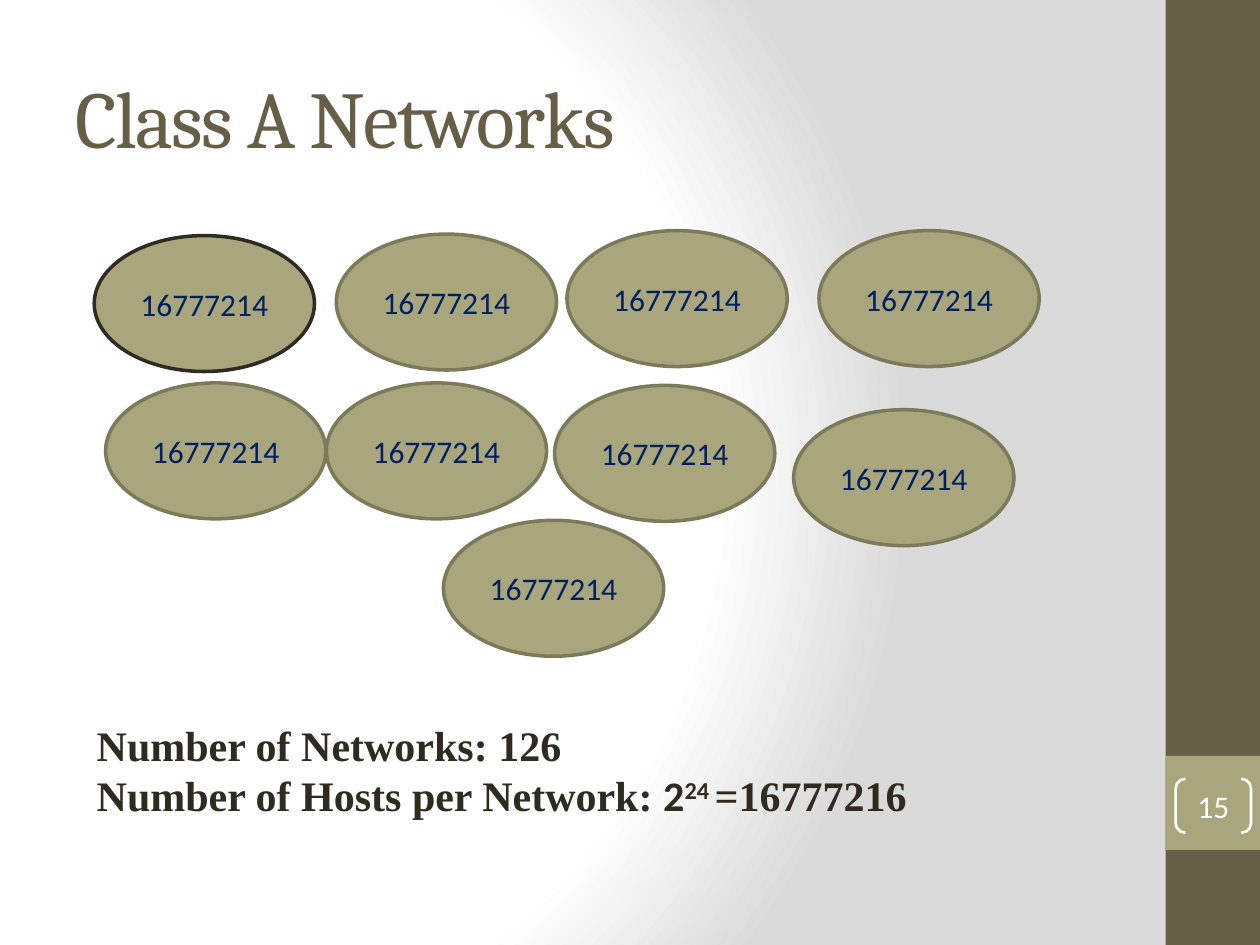
from pptx import Presentation
from pptx import oxml
from pptx import util as u
from pptx.dml.color import RGBColor
from pptx.enum import shapes, text
from pptx.oxml import ns

BROWN = RGBColor(0x67, 0x5E, 0x47)
OLIVE = RGBColor(0xA9, 0xA5, 0x7C)
OLIVE_EDGE = RGBColor(0x7D, 0x7A, 0x5C)
DARK = RGBColor(0x2F, 0x2B, 0x20)
NAVY = RGBColor(0x00, 0x20, 0x60)
WHITE = RGBColor(0xFF, 0xFF, 0xFF)

HEADING_FONT, BODY_FONT, SERIF_FONT = "Cambria", "Calibri", "Times New Roman"
HOSTS = "16777214"
ELLIPSE_WIDTH, ELLIPSE_HEIGHT = 4.44, 2.74
# Offsets in cm within the network area, from back to front
NETWORK_OFFSETS = [
    (0, 0.1), (4.88, 0.07), (0.23, 3.07), (4.68, 3.07), (7.04, 5.84),
    (9.53, 0), (14.1, 3.61), (14.61, 0), (9.28, 3.12),
]

BACKGROUND = f"""
<p:bg {ns.nsdecls('p', 'a')}><p:bgPr><a:gradFill rotWithShape="1"><a:gsLst>
<a:gs pos="0"><a:srgbClr val="FFFFFF"/></a:gs>
<a:gs pos="75000"><a:srgbClr val="FFFFFF"/></a:gs>
<a:gs pos="100000"><a:srgbClr val="DADADA"/></a:gs></a:gsLst>
<a:path path="circle"><a:fillToRect l="20000" t="50000" r="100000" b="50000"/></a:path>
</a:gradFill><a:effectLst/></p:bgPr></p:bg>"""


def add_text(paragraph, content, font=BODY_FONT, size=18, color=DARK,
             bold=False, align=None, spacing=None, baseline=None):
    """Append a formatted run to a paragraph."""
    if align is not None:
        paragraph.alignment = align
    run = paragraph.add_run()
    run.text = content
    run.font.name = font
    run.font.size = u.Pt(size)
    run.font.bold = bold
    run.font.color.rgb = color
    properties = run.font._element
    if spacing is not None:
        properties.set("spc", str(spacing))
    if baseline is not None:
        properties.set("baseline", str(baseline))


def add_shape(slide, kind, left, top, width, height,
              fill=None, line=None, line_width=2):
    shape = slide.shapes.add_shape(
        kind, u.Cm(left), u.Cm(top), u.Cm(width), u.Cm(height))
    shape.shadow.inherit = False
    if fill is None:
        shape.fill.background()
    else:
        shape.fill.solid()
        shape.fill.fore_color.rgb = fill
    if line is None:
        shape.line.fill.background()
    else:
        shape.line.color.rgb = line
        shape.line.width = u.Pt(line_width)
    shape.text_frame.vertical_anchor = text.MSO_ANCHOR.MIDDLE
    return shape


def add_sidebar(slide, left, top, width, height):
    rectangle = shapes.MSO_SHAPE.RECTANGLE
    add_shape(slide, rectangle, left, top, width, height, fill=BROWN)
    add_shape(slide, rectangle, left, top + 15.24, width, width, fill=OLIVE)


def add_page_number(slide, left, top, width, height, number):
    bracket = add_shape(slide, shapes.MSO_SHAPE.DOUBLE_BRACKET,
                        left, top, width, height, line=WHITE, line_width=1.5)
    bracket.adjustments[0] = 0.18
    frame = bracket.text_frame
    frame.margin_left = frame.margin_right = 0
    frame.margin_top = frame.margin_bottom = 0
    add_text(frame.paragraphs[0], number, color=WHITE,
             align=text.PP_ALIGN.CENTER)


def add_title(slide, left, top, width, height, content):
    title = slide.shapes.title
    title.left, title.top = u.Cm(left), u.Cm(top)
    title.width, title.height = u.Cm(width), u.Cm(height)
    frame = title.text_frame
    frame.auto_size = text.MSO_AUTO_SIZE.NONE
    frame.vertical_anchor = text.MSO_ANCHOR.MIDDLE
    add_text(frame.paragraphs[0], content, font=HEADING_FONT, size=46,
             color=BROWN, align=text.PP_ALIGN.LEFT, spacing=-100)


def add_networks(slide, left, top):
    for index, (x, y) in enumerate(NETWORK_OFFSETS):
        ellipse = add_shape(slide, shapes.MSO_SHAPE.OVAL, left + x, top + y,
                            ELLIPSE_WIDTH, ELLIPSE_HEIGHT, fill=OLIVE,
                            line=DARK if index == 0 else OLIVE_EDGE)
        add_text(ellipse.text_frame.paragraphs[0], HOSTS, color=NAVY,
                 align=text.PP_ALIGN.CENTER)


def add_summary(slide, left, top, width, height):
    box = slide.shapes.add_textbox(
        u.Cm(left), u.Cm(top), u.Cm(width), u.Cm(height))
    frame = box.text_frame
    frame.word_wrap = True
    frame.auto_size = text.MSO_AUTO_SIZE.SHAPE_TO_FIT_TEXT
    style = {"size": 24, "bold": True}
    add_text(frame.paragraphs[0], "Number of Networks: 126",
             font=SERIF_FONT, **style)
    hosts = frame.add_paragraph()
    add_text(hosts, "Number of Hosts per Network: ", font=SERIF_FONT, **style)
    add_text(hosts, "2", **style)
    add_text(hosts, "24 ", baseline=30000, **style)
    add_text(hosts, "=16777216", font=SERIF_FONT, **style)


def main():
    presentation = Presentation()
    presentation.slide_width = u.Cm(25.4)
    presentation.slide_height = u.Cm(19.05)
    slide = presentation.slides.add_slide(presentation.slide_layouts[5])

    # Background and sidebar
    slide._element.cSld.insert(0, oxml.parse_xml(BACKGROUND))
    add_sidebar(slide, 23.5, 0, 1.9, 19.05)

    # Content
    add_title(slide, 1.27, 0.76, 21.16, 3.18, "Class A Networks")
    add_networks(slide, 1.9, 4.65)
    add_summary(slide, 1.7, 14.38, 19.05, 2.31)
    add_page_number(slide, 23.7, 15.7, 1.52, 1.09, "15")

    presentation.save("out.pptx")


if __name__ == "__main__":
    main()
